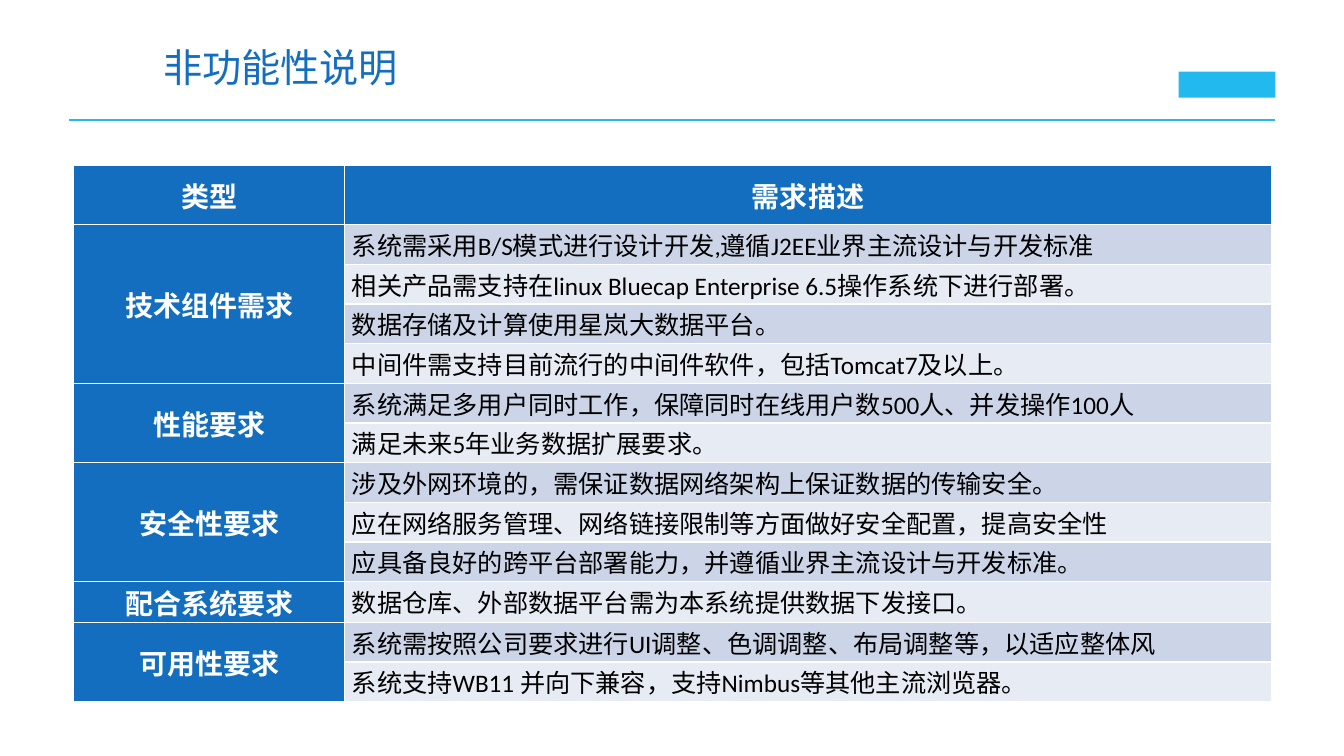
"""Build a slide with a table of non-functional requirements."""
from pptx import Presentation
from pptx.dml.color import RGBColor
from pptx.enum.shapes import MSO_CONNECTOR, MSO_SHAPE
from pptx.enum.text import MSO_ANCHOR, PP_ALIGN
from pptx.oxml.ns import qn
from pptx.util import Inches, Pt
from lxml import etree

MIDDLE = MSO_ANCHOR.MIDDLE
CENTER, LEFT = PP_ALIGN.CENTER, PP_ALIGN.LEFT
BLUE, CYAN, WHITE, BLACK = "136EBF", "22B9EE", "FFFFFF", "000000"
BANDS = ["CCD5E8", "E7EBF4"]

GROUPS = [
    ("技术组件需求", [
        "系统需采用B/S模式进行设计开发,遵循J2EE业界主流设计与开发标准",
        "相关产品需支持在linux Bluecap Enterprise 6.5操作系统下进行部署。",
        "数据存储及计算使用星岚大数据平台。",
        "中间件需支持目前流行的中间件软件，包括Tomcat7及以上。",
    ]),
    ("性能要求", [
        "系统满足多用户同时工作，保障同时在线用户数500人、并发操作100人",
        "满足未来5年业务数据扩展要求。",
    ]),
    ("安全性要求", [
        "涉及外网环境的，需保证数据网络架构上保证数据的传输安全。",
        "应在网络服务管理、网络链接限制等方面做好安全配置，提高安全性",
        "应具备良好的跨平台部署能力，并遵循业界主流设计与开发标准。",
    ]),
    ("配合系统要求", ["数据仓库、外部数据平台需为本系统提供数据下发接口。"]),
    ("可用性要求", [
        "系统需按照公司要求进行UI调整、色调调整、布局调整等，以适应整体风",
        "系统支持WB11 并向下兼容，支持Nimbus等其他主流浏览器。",
    ]),
]


def rgb(color):
    return RGBColor.from_string(color)


def fill_cell(cell, text, fill, color, size, bold, align):
    cell.fill.solid()
    cell.fill.fore_color.rgb = rgb(fill)
    cell.vertical_anchor = MIDDLE
    cell.margin_left = cell.margin_right = Inches(0.07)
    cell.margin_top = cell.margin_bottom = 0
    p = cell.text_frame.paragraphs[0]
    p.text = text
    p.alignment = align
    p.font.name = "Calibri"
    p.font.size = Pt(size)
    p.font.bold = bold
    p.font.color.rgb = rgb(color)


prs = Presentation()
prs.slide_width, prs.slide_height = Inches(13.33), Inches(7.5)
s = prs.slides.add_slide(prs.slide_layouts[6])

rule = s.shapes.add_connector(
    MSO_CONNECTOR.STRAIGHT, Inches(0.68), Inches(1.19), Inches(12.65), Inches(1.19))
rule.line.color.rgb = rgb(CYAN)
rule.line.width = Pt(2)
etree.SubElement(rule._element.spPr, qn("a:effectLst"))

badge = s.shapes.add_shape(
    MSO_SHAPE.RECTANGLE, Inches(11.69), Inches(0.71), Inches(0.96), Inches(0.26))
badge.shadow.inherit = False
badge.fill.solid()
badge.fill.fore_color.rgb = rgb(CYAN)
badge.line.fill.background()

row_count = 1 + sum(len(items) for _, items in GROUPS)
table = s.shapes.add_table(
    row_count, 2, Inches(0.73), Inches(1.64), Inches(11.88), Inches(5.31)).table
table.columns[0].width, table.columns[1].width = Inches(2.69), Inches(9.19)
for row in table.rows:
    row.height = Inches(4.72 / (row_count - 1))
table.rows[0].height = Inches(0.59)

for col, heading in enumerate(["类型", "需求描述"]):
    fill_cell(table.cell(0, col), heading, BLUE, WHITE, 20, True, CENTER)

row = 1
for category, items in GROUPS:
    first = row
    for item in items:
        label = category if row == first else ""
        fill_cell(table.cell(row, 0), label, BLUE, WHITE, 20, True, CENTER)
        fill_cell(table.cell(row, 1), item, BANDS[(row - 1) % 2], BLACK, 18, False, LEFT)
        row += 1
    if len(items) > 1:
        table.cell(first, 0).merge(table.cell(row - 1, 0))

title = s.shapes.add_textbox(Inches(1.52), Inches(0.38), Inches(11.19), Inches(0.57))
tf = title.text_frame
tf.word_wrap = True
tf.vertical_anchor = MIDDLE
p = tf.paragraphs[0]
p.text = "非功能性说明"
p.font.name = "Noto Sans CJK SC"
p.font.size = Pt(28)
p.font.color.rgb = rgb(BLUE)

prs.save("out.pptx")
